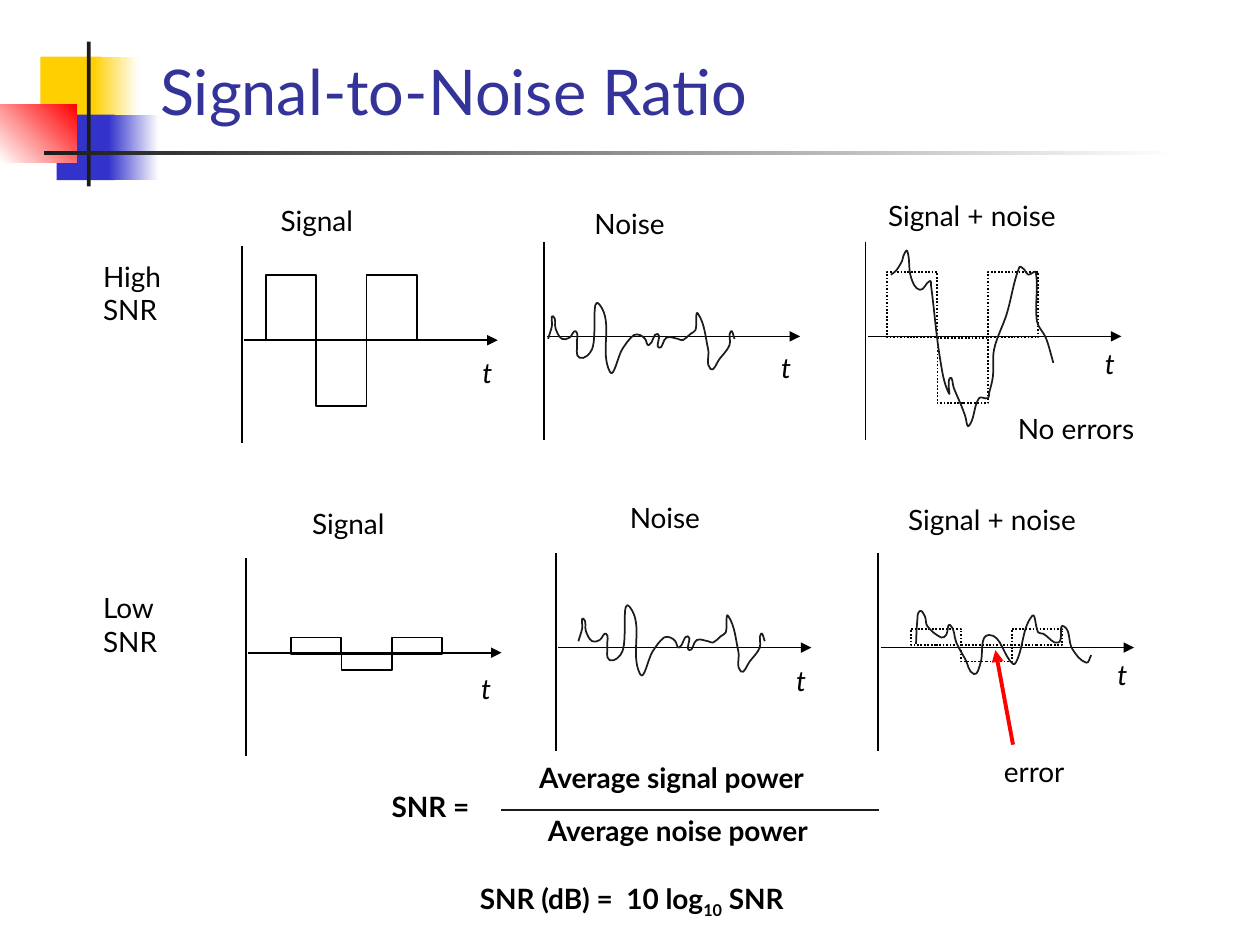
from dataclasses import dataclass
from math import dist
from lxml import etree
from pptx import Presentation
from pptx.dml.color import RGBColor
from pptx.enum.dml import MSO_LINE
from pptx.enum.shapes import MSO_CONNECTOR, MSO_SHAPE
from pptx.enum.text import MSO_ANCHOR, MSO_AUTO_SIZE, PP_ALIGN
from pptx.oxml.ns import qn
from pptx.util import Inches, Pt

FONT = "Lato"
COLORS = {
    "title": "333399", "text": "000000", "axis": "000000", "dark": "1C1C1C",
    "yellow": "FFCF01", "blue": "3333CC", "red": "FF0000", "white": "FFFFFF",
}

# Waveforms in hundredths of an inch, measured from their first point
NOISE = [(0, 0), (3, -10), (4, -18), (6, -8), (11, 0), (17, -1), (22, -6), (23, 3),
         (25, 15), (35, 8), (41, -27), (49, 26), (59, 8), (68, -3), (73, -3), (77, 0),
         (80, 5), (87, -4), (88, 7), (94, -1), (103, 0), (107, 1), (113, -4),
         (117, -7), (119, -20), (127, 8), (129, 24), (136, 16), (144, 5), (145, -6),
         (148, 0)]
HIGH_SUM = [(0, 0), (4, -3), (9, -11), (10, -15), (13, -19), (16, 2), (23, 12),
            (31, 5), (32, 9), (39, 66), (46, 94), (47, 82), (50, 90), (56, 104),
            (59, 112), (62, 120), (70, 98), (77, 98), (78, 94), (81, 81), (82, 59),
            (92, 31), (102, -6), (106, -4), (109, 0), (115, -2), (116, 37),
            (123, 50), (129, 70)]
LOW_SUM = [(0, 0), (1, -18), (3, -26), (7, -22), (9, -14), (20, -5), (24, -7),
           (27, -15), (32, -1), (39, 12), (46, 24), (51, 16), (58, -7), (77, 16),
           (81, 11), (92, -22), (97, -9), (101, -8), (113, -1), (117, -14),
           (124, 4), (135, 15), (139, 9)]


@dataclass
class Plot:
    """Origin on the slide; every other place is an offset from that origin."""
    label: str
    origin: tuple
    label_at: tuple
    time_at: tuple
    pulse_at: tuple = None
    pulse_height: float = 0
    dotted: bool = False
    wave: list = None
    wave_at: tuple = None


PLOTS = [
    # High SNR
    Plot("Signal", (1.92, 2.7), (0.21, -1.13), (1.81, 0.07), (0.19, 0), 0.52),
    Plot("Noise", (4.32, 2.67), (0.3, -1.08), (1.78, 0.06),
         wave=NOISE, wave_at=(0.03, 0.02)),
    Plot("Signal + noise", (6.87, 2.67), (0.08, -1.14), (1.8, 0.03), (0.17, 0.01),
         0.52, True, HIGH_SUM, (0.2, -0.49)),
    # Low SNR
    Plot("Signal", (1.95, 5.18), (0.43, -1.21), (1.77, 0.1), (0.36, 0.01), 0.13),
    Plot("Noise", (4.41, 5.14), (0.49, -1.22), (1.81, 0.08),
         wave=NOISE, wave_at=(0.18, -0.05)),
    Plot("Signal + noise", (6.97, 5.14), (0.14, -1.2), (1.8, 0.03), (0.26, -0.02),
         0.13, True, LOW_SUM, (0.3, -0.03)),
]


def color(name):
    return RGBColor.from_string(COLORS[name])


def add_block(slide, left, top, width, height, start, end=None, angle=0):
    block = slide.shapes.add_shape(MSO_SHAPE.RECTANGLE, Inches(left), Inches(top),
                                   Inches(width), Inches(height))
    block.shadow.inherit = False
    block.line.fill.background()
    if end:
        block.fill.gradient()
        block.fill.gradient_angle = angle
        for position, name in enumerate((start, end)):
            stop = block.fill.gradient_stops[position]
            stop.color.rgb = color(name)
            stop.position = position
    else:
        block.fill.solid()
        block.fill.fore_color.rgb = color(start)


def add_line(slide, start, end, line_color="axis", weight=1, arrow=None):
    """The arrow is "headEnd" (at the start) or "tailEnd" (at the end)."""
    line = slide.shapes.add_connector(MSO_CONNECTOR.STRAIGHT,
                                      *map(Inches, (*start, *end)))
    line.line.color.rgb = color(line_color)
    line.line.width = Pt(weight)
    properties = line._element.spPr
    if arrow:
        etree.SubElement(properties.find(qn("a:ln")), qn(f"a:{arrow}"),
                         type="triangle")
    etree.SubElement(properties, qn("a:effectLst"))


def add_text(slide, text, left, top, width, height=0.4, bold=False, italic=False,
             wrap=False):
    box = slide.shapes.add_textbox(*map(Inches, (left, top, width, height)))
    frame = box.text_frame
    frame.text = text
    frame.word_wrap = wrap
    frame.auto_size = MSO_AUTO_SIZE.SHAPE_TO_FIT_TEXT
    for paragraph in frame.paragraphs:
        for run in paragraph.runs:
            format_run(run, bold, italic)
    return box


def format_run(run, bold=False, italic=False):
    font = run.font
    font.name, font.size, font.bold, font.italic = FONT, Pt(16), bold, italic
    font.color.rgb = color("text")


def curve_segments(wave):
    """Turn each straight segment into a Bezier curve through the same points."""
    points = [(int(point.get("x")), int(point.get("y")))
              for point in wave._element.iter(qn("a:pt"))]
    padded = [points[0], *points, points[-1]]
    tangents = []
    for (x1, y1), (x2, y2) in zip(padded, padded[2:]):
        length = dist((x1, y1), (x2, y2))
        tangents.append(((x2 - x1) / length, (y2 - y1) / length))
    for index, segment in enumerate(list(wave._element.iter(qn("a:lnTo")))):
        start, end = points[index:index + 2]
        handle = dist(start, end) / 3
        controls = [[p + sign * handle * t for p, t in zip(point, tangent)]
                    for point, tangent, sign in ((start, tangents[index], 1),
                                                 (end, tangents[index + 1], -1))]
        curve = etree.Element(qn("a:cubicBezTo"))
        for x, y in (*controls, end):
            etree.SubElement(curve, qn("a:pt"), x=str(round(x)), y=str(round(y)))
        segment.getparent().replace(segment, curve)


def add_wave(slide, points, left, top):
    vertices = [(Inches(left + x / 100), Inches(top + y / 100)) for x, y in points]
    builder = slide.shapes.build_freeform(*vertices[0])
    builder.add_line_segments(vertices[1:], close=False)
    wave = builder.convert_to_shape()
    curve_segments(wave)
    wave.shadow.inherit = False
    wave.fill.background()
    wave.line.color.rgb = color("dark")
    wave.line.width = Pt(1)


def add_pulses(slide, left, base, height, dotted):
    for column, top in ((0, base - height), (2, base - height), (1, base)):
        pulse = slide.shapes.add_shape(
            MSO_SHAPE.RECTANGLE, Inches(left + column * 0.4), Inches(top),
            Inches(0.4), Inches(height))
        pulse.shadow.inherit = False
        pulse.fill.background()
        pulse.line.color.rgb = color("axis")
        pulse.line.width = Pt(1)
        if dotted:
            pulse.line.dash_style = MSO_LINE.ROUND_DOT


def add_plot(slide, plot):
    left, base = plot.origin

    def place(offset):
        return left + offset[0], base + offset[1]

    add_line(slide, place((0, -0.75)), place((0, 0.82)))
    add_line(slide, place((0.02, 0)), place((2.03, 0)), arrow="tailEnd")
    if plot.pulse_at:
        add_pulses(slide, *place(plot.pulse_at), plot.pulse_height, plot.dotted)
    if plot.wave:
        add_wave(slide, plot.wave, *place(plot.wave_at))
    label_width = {"Signal": 0.9, "Noise": 0.84}.get(plot.label, 1.78)
    add_text(slide, plot.label, *place(plot.label_at), label_width)
    add_text(slide, "t", *place(plot.time_at), 0.38, 0.36, italic=True, wrap=True)


def add_decoration(slide):
    add_block(slide, 0.32, 0.45, 0.48, 0.52, "yellow")
    add_block(slide, 0.74, 0.45, 0.36, 0.52, "yellow", "white")
    add_block(slide, 0.45, 0.91, 0.46, 0.52, "blue")
    add_block(slide, 0.86, 0.91, 0.4, 0.52, "blue", "white")
    add_block(slide, 0, 0.83, 0.61, 0.46, "white", "red", angle=45)
    add_block(slide, 0.69, 0.33, 0.03, 1.15, "dark")
    add_block(slide, 0.35, 1.2, 9, 0.03, "dark", "white")


def add_title(slide, left, top, width, height):
    title = slide.shapes.title
    title.left, title.top, title.width, title.height = map(
        Inches, (left, top, width, height))
    title.text_frame.text = "Signal-to-Noise Ratio"
    title.text_frame.vertical_anchor = MSO_ANCHOR.BOTTOM
    paragraph = title.text_frame.paragraphs[0]
    paragraph.alignment = PP_ALIGN.LEFT
    font = paragraph.runs[0].font
    font.name, font.size = FONT, Pt(36)
    font.color.rgb = color("title")


def add_formulas(slide, left, top):
    add_text(slide, "SNR =", left, top + 0.23, 1.01, bold=True)
    add_line(slide, (left + 0.97, top + 0.44), (left + 3.97, top + 0.44), "dark", 1.5)
    add_text(slide, "Average signal power", left + 1.17, top, 2.78, bold=True)
    add_text(slide, "Average noise power", left + 1.24, top + 0.42, 2.72, bold=True)
    decibels = add_text(slide, "SNR (dB) =  10 log", left + 0.7, top + 0.96, 3.16,
                        bold=True)
    for text, baseline in (("10", "-25000"), (" SNR", "0")):
        run = decibels.text_frame.paragraphs[0].add_run()
        run.text = text
        format_run(run, bold=True)
        run.font._element.set("baseline", baseline)


def main():
    presentation = Presentation()
    presentation.slide_width, presentation.slide_height = Inches(10), Inches(7.5)
    slide = presentation.slides.add_slide(presentation.slide_layouts[5])
    add_decoration(slide)
    add_title(slide, 1.17, 0.33, 8.52, 0.74)
    add_formulas(slide, 3.01, 5.99)
    for plot in PLOTS:
        add_plot(slide, plot)
    # Row labels and remarks
    add_text(slide, "High\nSNR", 0.72, 2.01, 0.73, 0.7)
    add_text(slide, "Low\nSNR", 0.72, 4.64, 0.73, 0.7)
    add_line(slide, (7.9, 5.16), (8.04, 5.91), "red", 2.25, arrow="headEnd")
    add_text(slide, "error", 7.87, 5.94, 0.73)
    add_text(slide, "No errors", 7.98, 3.22, 1.24)
    presentation.save("out.pptx")


if __name__ == "__main__":
    main()
